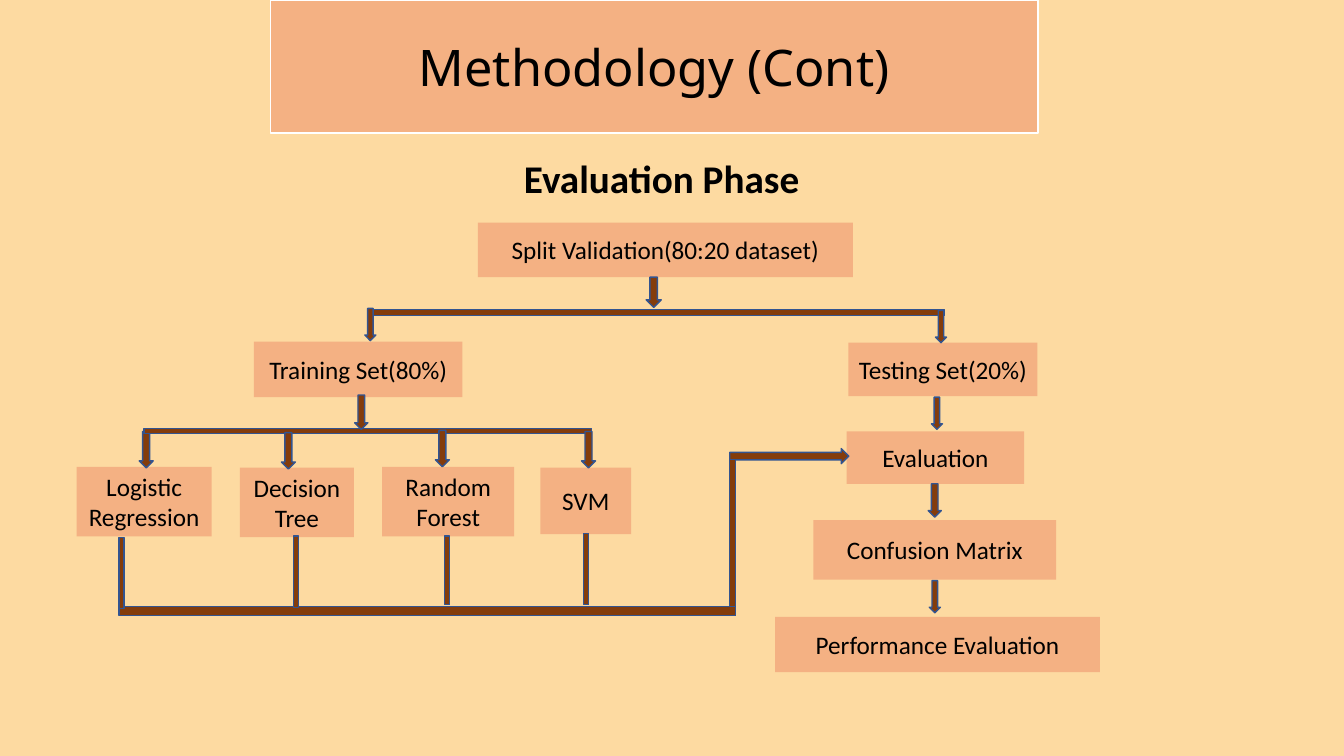
"""Build the evaluation phase flowchart slide."""
from typing import NamedTuple

from pptx import Presentation
from pptx.dml.color import RGBColor
from pptx.enum.shapes import MSO_SHAPE as Kind
from pptx.enum.text import MSO_ANCHOR as Anchor, MSO_AUTO_SIZE as Fit, PP_ALIGN as Align
from pptx.util import Pt

SAND = RGBColor(0xFD, 0xDA, 0xA1)
PEACH = RGBColor(0xF4, 0xB1, 0x83)
BROWN = RGBColor(0x84, 0x3C, 0x0B)
BLUE = RGBColor(0x32, 0x54, 0x91)
WHITE = RGBColor(0xFF, 0xFF, 0xFF)
BLACK = RGBColor(0, 0, 0)

BAR, DOWN, RIGHT = Kind.RECTANGLE, Kind.DOWN_ARROW, Kind.RIGHT_ARROW


class Step(NamedTuple):
    text: str
    left: float
    top: float
    width: float
    height: float


class Link(NamedTuple):
    kind: Kind
    left: float
    top: float
    width: float
    height: float


STEPS = [
    Step("Testing Set(20%)", 606, 244.8, 135, 38.2),
    Step("Training Set(80%)", 181.4, 244, 149, 39.6),
    Step("Logistic Regression", 54.7, 333.4, 96.5, 49.7),
    Step("Evaluation", 604.8, 308.2, 126.7, 37.4),
    Step("Split Validation(80:20 dataset)", 341.3, 159, 268, 39),
    Step("SVM", 386, 334, 64.8, 47.5),
    Step("Random Forest", 273, 333.4, 94.3, 49.7),
    Step("Decision Tree", 171.4, 334, 81.4, 49.7),
    Step("Performance Evaluation", 553.7, 440.6, 232, 39.6),
    Step("Confusion Matrix", 581, 371.5, 173.5, 42.5),
]

LINKS = [
    Link(DOWN, 665.3, 283.7, 7.9, 23),
    Link(DOWN, 663, 345.6, 9.4, 23.8),
    Link(DOWN, 663.8, 414.7, 7.9, 23),
    Link(DOWN, 99.4, 308.2, 10, 26),
    Link(BAR, 103, 306, 319.7, 3.6),
    Link(DOWN, 201, 309, 10, 26),
    Link(DOWN, 311, 307.4, 10, 26),
    Link(DOWN, 415.4, 308.2, 10, 26),
    Link(DOWN, 253.4, 282.2, 9.4, 24.5),
    Link(BAR, 262.8, 221, 411.8, 4.3),
    Link(DOWN, 668.2, 221.8, 7.9, 23),
    Link(DOWN, 260.6, 220.3, 7.9, 23),
    Link(RIGHT, 521.3, 320.4, 85, 10.8),
    Link(BAR, 521.3, 328.3, 4.3, 110.2),
    Link(BAR, 85, 433.4, 440.6, 6.5),
    Link(BAR, 85, 383.8, 3.6, 51),
    Link(BAR, 209.5, 383, 3.6, 51),
    Link(BAR, 317.5, 383, 3.6, 49),
    Link(BAR, 417, 381, 3.6, 51),
    Link(DOWN, 461.5, 198, 10.8, 21.6),
]


def paint(shape, fill: RGBColor, line: RGBColor | None = None) -> None:
    shape.fill.solid()
    shape.fill.fore_color.rgb = fill
    if line is None:
        shape.line.fill.background()
    else:
        shape.line.color.rgb = line
        shape.line.width = Pt(1)


def write(shape, text: str, size: float, face: str = "Calibri", bold: bool = False,
          align: Align = Align.CENTER, anchor: Anchor = Anchor.MIDDLE) -> None:
    frame = shape.text_frame
    frame.text = text
    frame.vertical_anchor = anchor
    para = frame.paragraphs[0]
    para.alignment = align
    font = para.font
    font.name, font.size, font.bold = face, Pt(size), bold
    font.color.rgb = BLACK


def draw(slide, kind: Kind, *box: float):
    shape = slide.shapes.add_shape(kind, *map(Pt, box))
    shape.shadow.inherit = False
    return shape


def draw_step(slide, step: Step) -> None:
    shape = draw(slide, Kind.RECTANGLE, *step[1:])
    paint(shape, PEACH)
    shape.text_frame.word_wrap = True
    write(shape, step.text, 18)


def draw_link(slide, link: Link) -> None:
    paint(draw(slide, *link), BROWN, BLUE)


def main() -> None:
    deck = Presentation()
    deck.slide_width, deck.slide_height = Pt(960), Pt(540)
    slide = deck.slides.add_slide(deck.slide_layouts[5])
    slide.background.fill.solid()
    slide.background.fill.fore_color.rgb = SAND

    title = slide.shapes.title
    title.left, title.top, title.width, title.height = map(Pt, (193, 0, 548.6, 95))
    paint(title, PEACH, WHITE)
    title.text_frame.auto_size = Fit.NONE
    write(title, "Methodology (Cont)", 36, "Noto Sans")

    head = slide.shapes.add_textbox(*map(Pt, (367.2, 106.6, 213.8, 41)))
    head.text_frame.word_wrap = False
    head.text_frame.auto_size = Fit.SHAPE_TO_FIT_TEXT
    write(head, "Evaluation Phase", 28, bold=True, align=Align.LEFT, anchor=Anchor.TOP)

    for step in STEPS:
        draw_step(slide, step)
    for link in LINKS:
        draw_link(slide, link)
    deck.save("out.pptx")


if __name__ == "__main__":
    main()
